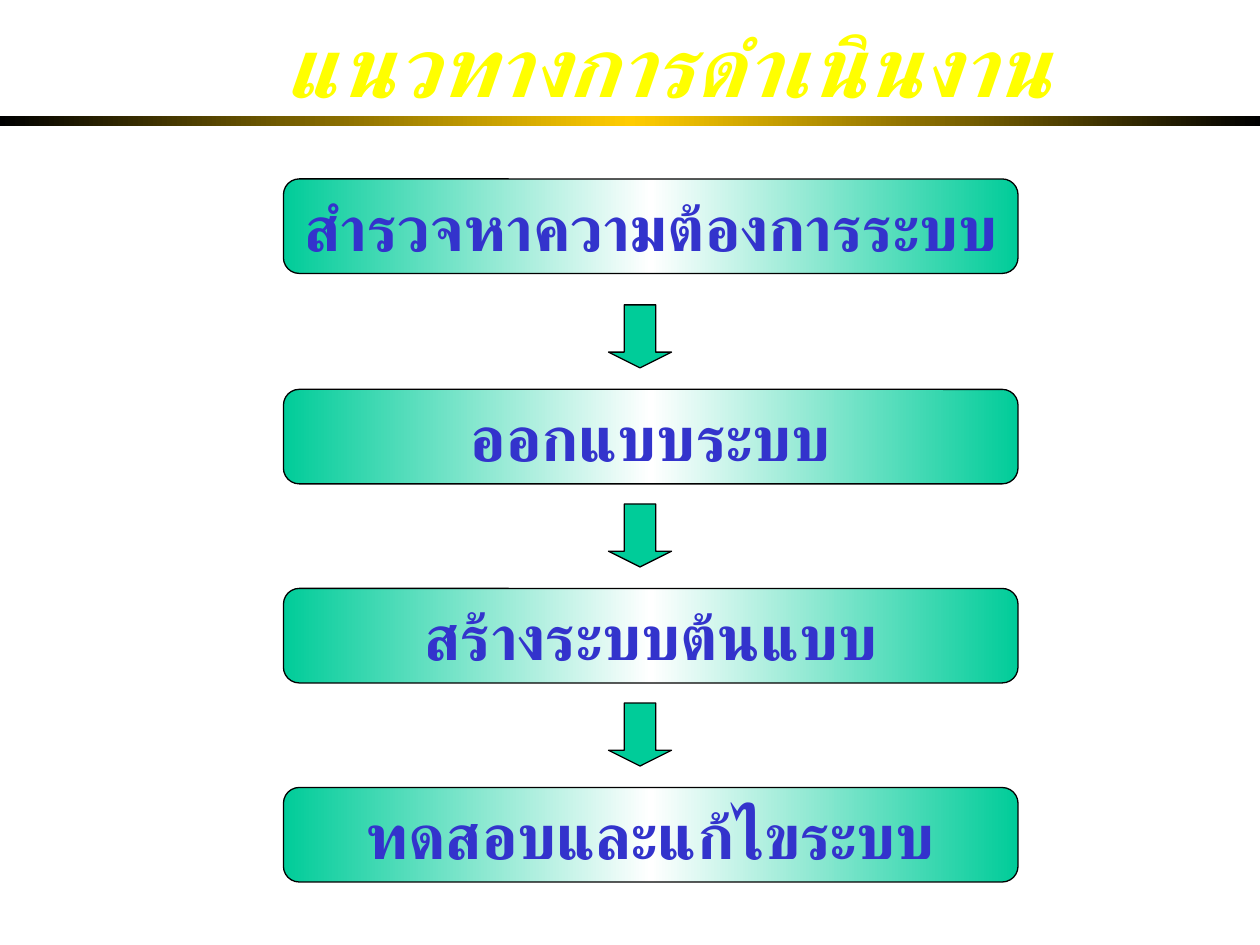
from copy import deepcopy

from pptx import Presentation
from pptx.dml.color import RGBColor
from pptx.enum import shapes, text
from pptx.oxml import ns, xmlchemy
from pptx.util import Inches, Pt

FONT = "Calibri"
YELLOW = RGBColor(0xFF, 0xFF, 0x00)
GOLD = RGBColor(0xFF, 0xCC, 0x00)
GREEN = RGBColor(0x00, 0xCC, 0x99)
BLUE = RGBColor(0x33, 0x33, 0xCC)
WHITE = RGBColor(0xFF, 0xFF, 0xFF)
BLACK = RGBColor(0x00, 0x00, 0x00)

TITLE_FORMAT = {"name": FONT, "size": Pt(48), "bold": True, "italic": True}
STEP_FORMAT = {"name": FONT, "size": Pt(36), "bold": True}
STEPS = [
    "สำรวจหาความต้องการระบบ",
    "ออกแบบระบบ",
    "สร้างระบบต้นแบบ",
    "ทดสอบและแก้ไขระบบ",
]
FIRST_STEP_TOP = 1.42
FIRST_ARROW_TOP = 2.42
ARROW_TO_STEP = 0.67
PITCH = 1.58


def write_line(frame, wording, formats, color):
    frame.word_wrap = False
    paragraph = frame.paragraphs[0]
    run = paragraph.add_run()
    run.text = wording
    for key, value in formats.items():
        setattr(run.font, key, value)
    run.font.color.rgb = color
    complex_script = xmlchemy.OxmlElement("a:cs")
    complex_script.set("typeface", FONT)
    run.font._element.append(complex_script)
    return paragraph


def add_block(slide, preset, left, top, width, height, outlined=True):
    block = slide.shapes.add_shape(
        preset, Inches(left), Inches(top), Inches(width), Inches(height)
    )
    block.shadow.inherit = False
    if outlined:
        block.line.color.rgb = BLACK
        block.line.width = Pt(0.75)
    else:
        block.line.fill.background()
    return block


def fill_mirrored(block, edge, middle):
    block.fill.gradient()
    block.fill.gradient_angle = 0
    stop_list = block._element.spPr.find(ns.qn("a:gradFill")).find(ns.qn("a:gsLst"))
    stop_list.append(deepcopy(stop_list[-1]))
    colors = (edge, middle, edge)
    for stop, position, color in zip(block.fill.gradient_stops, (0, 0.5, 1), colors):
        stop.position = position
        stop.color.rgb = color


def add_title(slide, wording):
    title = slide.shapes.add_textbox(Inches(2.17), Inches(0.06), Inches(6.27), Inches(0.9))
    title.text_frame.auto_size = text.MSO_AUTO_SIZE.SHAPE_TO_FIT_TEXT
    write_line(title.text_frame, wording, TITLE_FORMAT, YELLOW)


def add_rule(slide):
    rule = add_block(slide, shapes.MSO_SHAPE.RECTANGLE, 0, 0.92, 10, 0.08, outlined=False)
    fill_mirrored(rule, BLACK, GOLD)


def add_step(slide, top, wording):
    step = add_block(slide, shapes.MSO_SHAPE.ROUNDED_RECTANGLE, 2.25, top, 5.83, 0.75)
    fill_mirrored(step, GREEN, WHITE)
    step.text_frame.vertical_anchor = text.MSO_ANCHOR.MIDDLE
    line = write_line(step.text_frame, wording, STEP_FORMAT, BLUE)
    line.alignment = text.PP_ALIGN.CENTER


def add_arrow(slide, top):
    arrow = add_block(slide, shapes.MSO_SHAPE.DOWN_ARROW, 4.83, top, 0.5, 0.5)
    arrow.adjustments[1] = 0.25
    arrow.fill.solid()
    arrow.fill.fore_color.rgb = GREEN


def main():
    deck = Presentation()
    deck.slide_width, deck.slide_height = Inches(10), Inches(7.5)
    slide = deck.slides.add_slide(deck.slide_layouts[6])
    add_title(slide, "แนวทางการดำเนินงาน")
    add_rule(slide)
    add_step(slide, FIRST_STEP_TOP, STEPS[0])
    for index, wording in enumerate(STEPS[1:]):
        arrow_top = FIRST_ARROW_TOP + index * PITCH
        add_arrow(slide, arrow_top)
        add_step(slide, arrow_top + ARROW_TO_STEP, wording)
    deck.save("out.pptx")


if __name__ == "__main__":
    main()
